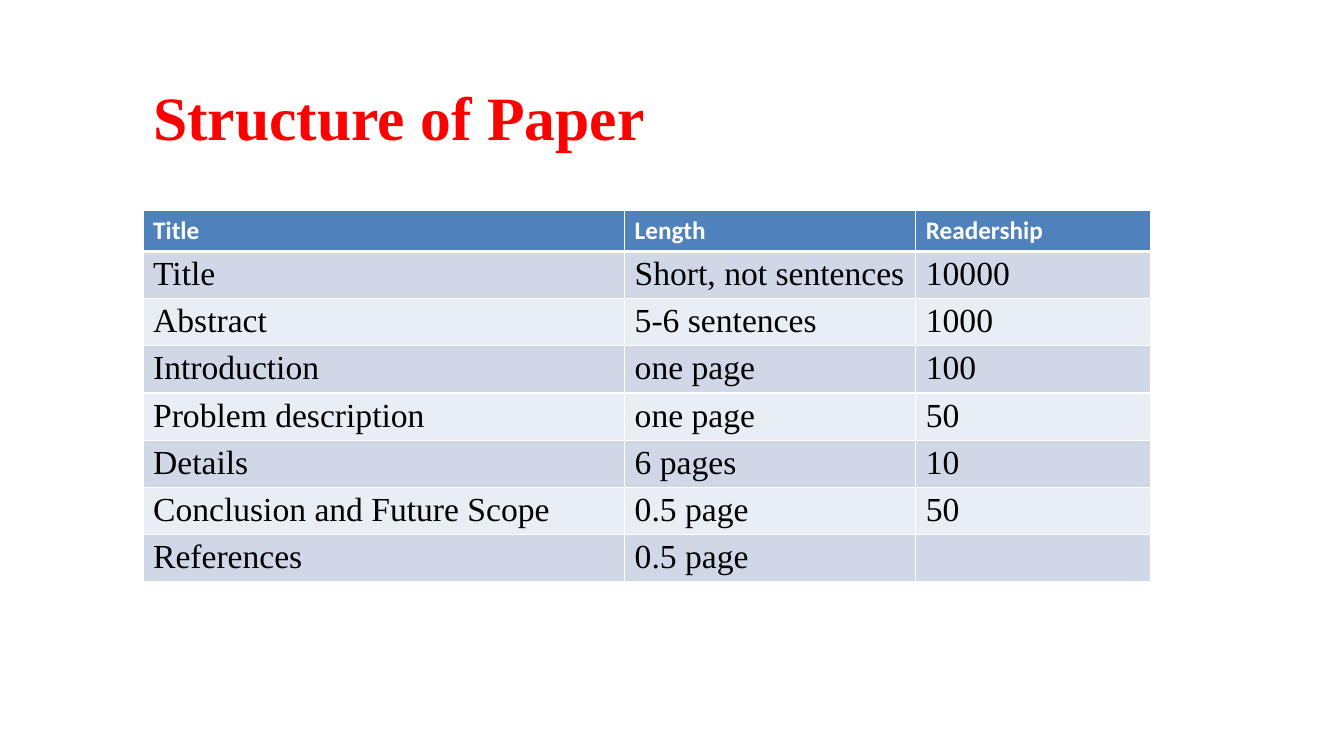
from pptx import Presentation
from pptx.dml.color import RGBColor
from pptx.enum.text import MSO_ANCHOR, MSO_AUTO_SIZE, PP_ALIGN
from pptx.oxml import parse_xml
from pptx.oxml.ns import nsdecls
from pptx.util import Pt

TITLE = "Structure of Paper"
ROWS = [
    ("Title", "Length", "Readership"),
    ("Title", "Short, not sentences", "10000"),
    ("Abstract", "5-6 sentences", "1000"),
    ("Introduction", "one page", "100"),
    ("Problem description", "one page", "50"),
    ("Details", "6 pages", "10"),
    ("Conclusion and Future Scope", "0.5 page", "50"),
    ("References", "0.5 page", ""),
]
COL_WIDTHS = (344, 208, 168)
HEADER_HEIGHT, BODY_HEIGHT = 29.2, 33.7
LEFT, TABLE_TOP = 102.2, 150.5

RED = RGBColor(0xFF, 0x00, 0x00)
WHITE = RGBColor(0xFF, 0xFF, 0xFF)
BLACK = RGBColor(0x00, 0x00, 0x00)
HEADER_BLUE = RGBColor(0x4F, 0x81, 0xBD)
BANDS = (RGBColor(0xE9, 0xED, 0xF4), RGBColor(0xD0, 0xD8, 0xE8))


def style_text(p, font, size, color, bold):
    p.alignment = PP_ALIGN.LEFT
    for r in p.runs:
        r.font.name = font
        r.font.size = Pt(size)
        r.font.color.rgb = color
        r.font.bold = bold


def add_border(cell, side, width):
    cell._tc.get_or_add_tcPr().append(parse_xml(
        f'<a:ln{side} {nsdecls("a")} w="{Pt(width)}"><a:solidFill>'
        f'<a:srgbClr val="{WHITE}"/></a:solidFill></a:ln{side}>'))


def add_title(s):
    sp = s.shapes.title
    sp.left, sp.top, sp.width, sp.height = Pt(LEFT), Pt(48.2), Pt(450), Pt(60.5)
    tf = sp.text_frame
    tf.text = TITLE
    tf.word_wrap = True
    tf.auto_size = MSO_AUTO_SIZE.NONE
    tf.vertical_anchor = MSO_ANCHOR.TOP
    tf.margin_top = Pt(8.4)
    tf.margin_bottom = Pt(0)
    style_text(tf.paragraphs[0], "Times New Roman", 44, RED, True)


def add_structure_table(s):
    heights = [HEADER_HEIGHT] + [BODY_HEIGHT] * (len(ROWS) - 1)
    table = s.shapes.add_table(
        len(ROWS), len(COL_WIDTHS), Pt(LEFT), Pt(TABLE_TOP),
        Pt(sum(COL_WIDTHS)), Pt(sum(heights))).table
    table.horz_banding = False
    for col, width in zip(table.columns, COL_WIDTHS):
        col.width = Pt(width)
    for i, (values, height) in enumerate(zip(ROWS, heights)):
        table.rows[i].height = Pt(height)
        header = i == 0
        for j, value in enumerate(values):
            cell = table.cell(i, j)
            cell.text = value
            cell.margin_top = cell.margin_bottom = Pt(3.6 if header else 3)
            cell.margin_right = Pt(3.6)
            for side in "LRTB":
                thick = (header and side == "B") or (i == 1 and side == "T")
                add_border(cell, side, 3 if thick else 1)
            cell.fill.solid()
            cell.fill.fore_color.rgb = HEADER_BLUE if header else BANDS[i % 2]
            p = cell.text_frame.paragraphs[0]
            if header:
                style_text(p, "Calibri", 18, WHITE, True)
            else:
                style_text(p, "Times New Roman", 24, BLACK, False)


def main():
    prs = Presentation()
    prs.slide_width, prs.slide_height = Pt(960), Pt(540)
    s = prs.slides.add_slide(prs.slide_layouts[5])
    add_title(s)
    add_structure_table(s)
    prs.save("out.pptx")


if __name__ == "__main__":
    main()
